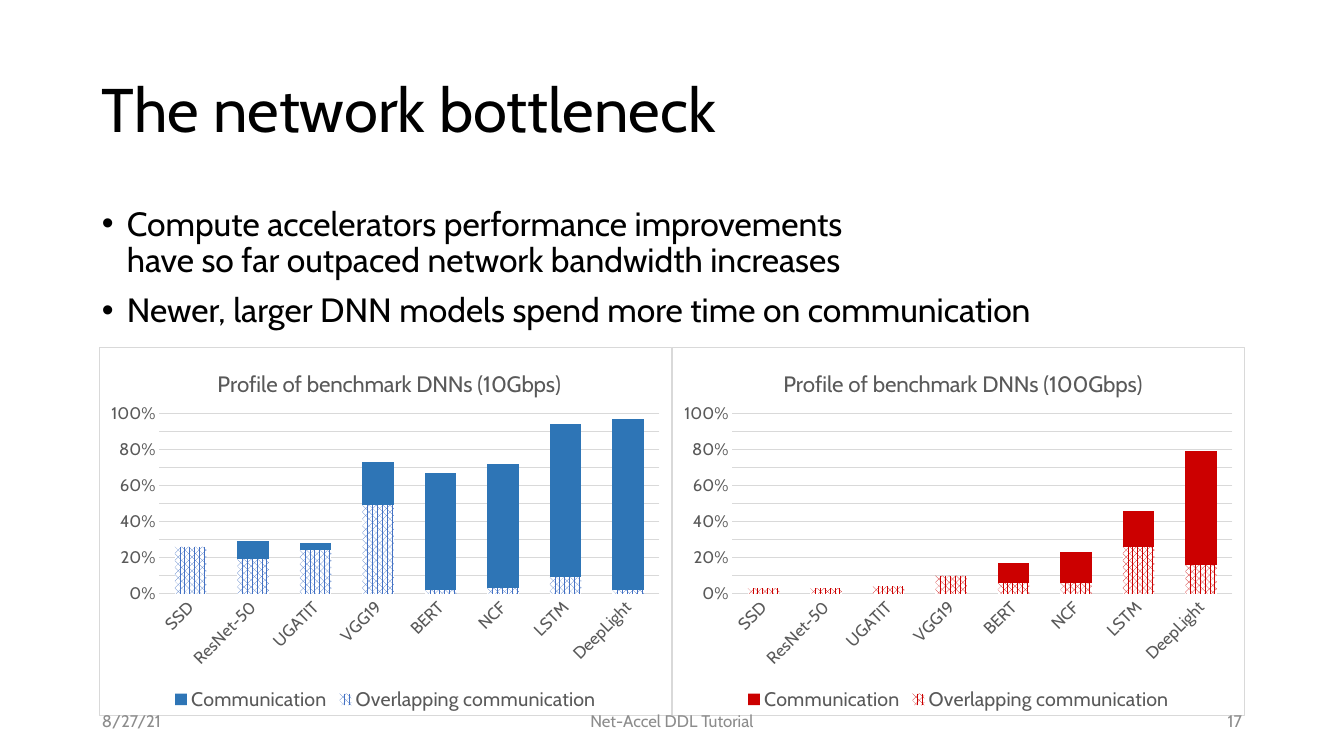
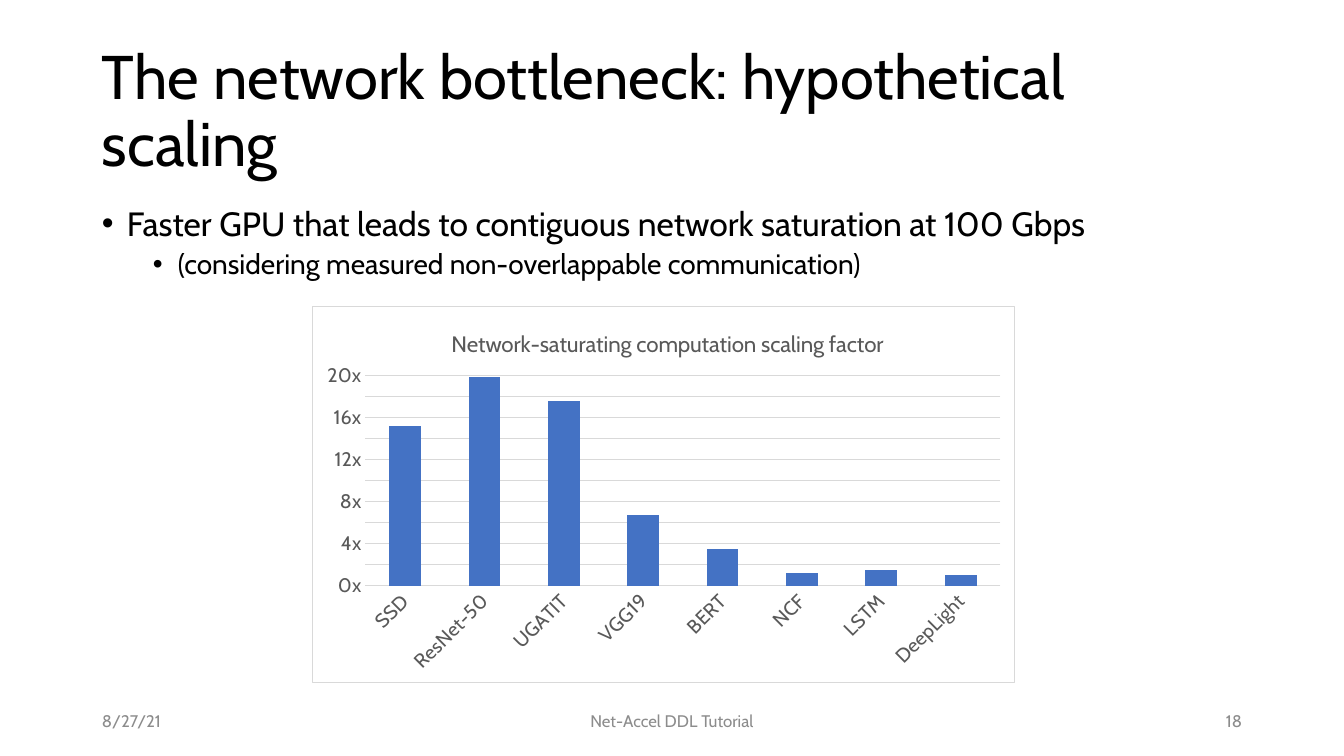
from copy import deepcopy
from dataclasses import dataclass

from lxml import etree
from pptx import Presentation
from pptx import util as u
from pptx.chart.data import CategoryChartData
from pptx.dml.color import RGBColor
from pptx.enum import chart as charts, dml, text
from pptx.oxml import parse_xml
from pptx.oxml.ns import nsdecls, qn


@dataclass(frozen=True)
class Theme:
    font: str = "Cabin"
    ink: str = "000000"
    label: str = "595959"
    footer: str = "8C8C8C"
    rule: str = "D9D9D9"
    paper: str = "FFFFFF"
    blue: str = "2E75B6"
    accent: str = "4472C4"
    red: str = "CC0000"
    title_size: int = 44
    body_sizes: tuple = (24, 20)
    chart_title_size: int = 16
    legend_size: int = 14
    footer_size: int = 12
    rule_width: float = 0.75


THEME = Theme()
PX_PER_INCH = 100.8

# Content: lengths in px, areas as left, top, width, height
SLIDE_SIZE = (1344, 756)
TITLE_AREA = (92, 40, 1160, 146)
BODY_AREA = (92, 202, 1160, 480)
BULLET_HANG = 25
BULLET_MARGINS = (25, 76)
BULLET_GAPS = (10, 5)
DATE, EVENT = "8/27/21", "Net-Accel DDL Tutorial"
FOOTER_AREAS = [
    ((92, 701, 302, 40), text.PP_ALIGN.LEFT),
    ((445, 701, 454, 40), text.PP_ALIGN.CENTER),
    ((950, 701, 302, 40), text.PP_ALIGN.RIGHT),
]

MODELS = ["SSD", "ResNet-50", "UGATIT", "VGG19", "BERT", "NCF", "LSTM", "DeepLight"]
PROFILE = dict(maximum=1, step=0.2, number_format="0%", gap=99, overlap=100,
               label_size=12, legend=True, plot=(60, 66, 501, 181))
SCALING = dict(maximum=20, step=4, number_format='0"x"', gap=150, overlap=0,
               label_size=14, legend=False, plot=(53, 69, 636, 211))

# Series: name, values, colour, patterned
SLIDES = [
    dict(
        number=17,
        title="The network bottleneck",
        bullets=[
            (0, "Compute accelerators performance improvements\v"
                "have so far outpaced network bandwidth increases"),
            (0, "Newer, larger DNN models spend more time on communication"),
        ],
        charts=[
            dict(PROFILE, title="Profile of benchmark DNNs (10Gbps)",
                 area=(99, 347, 573, 369), title_at=(114, 17), series=[
                     ("Communication",
                      [0.26, 0.29, 0.28, 0.73, 0.67, 0.72, 0.94, 0.97], THEME.blue, False),
                     ("Overlapping communication",
                      [0.26, 0.19, 0.24, 0.49, 0.02, 0.03, 0.09, 0.02], THEME.accent, True)]),
            dict(PROFILE, title="Profile of benchmark DNNs (100Gbps)",
                 area=(672, 347, 573, 369), title_at=(107, 17), series=[
                     ("Communication",
                      [0.03, 0.03, 0.04, 0.1, 0.17, 0.23, 0.46, 0.79], THEME.red, False),
                     ("Overlapping communication",
                      [0.03, 0.03, 0.04, 0.1, 0.06, 0.06, 0.26, 0.16], THEME.red, True)]),
        ],
    ),
    dict(
        number=18,
        title="The network bottleneck: hypothetical scaling",
        bullets=[
            (0, "Faster GPU that leads to contiguous network saturation at 100 Gbps"),
            (1, "(considering measured non-overlappable communication)"),
        ],
        charts=[
            dict(SCALING, title="Network-saturating computation scaling factor",
                 area=(312, 306, 703, 377), title_at=(135, 18), series=[
                     ("Series 1", [15.2, 19.8, 17.6, 6.7, 3.5, 1.2, 1.5, 1],
                      THEME.accent, False)]),
        ],
    ),
]


def px(length):
    return u.Emu(round(length * u.Inches(1) / PX_PER_INCH))


def rgb(colour):
    return RGBColor.from_string(colour)


def style_font(font, size, colour):
    font.name, font.size, font.bold = THEME.font, u.Pt(size), False
    font.color.rgb = rgb(colour)


def style_line(line):
    line.color.rgb = rgb(THEME.rule)
    line.width = u.Pt(THEME.rule_width)


# Text
def add_text(page, area, lines, size, colour, anchor=text.MSO_ANCHOR.MIDDLE, align=None):
    frame = page.shapes.add_textbox(*map(px, area)).text_frame
    frame.word_wrap = True
    frame.vertical_anchor = anchor
    frame.text = "\n".join(lines)
    for para in frame.paragraphs:
        para.alignment = align
        for span in para.runs:
            style_font(span.font, size, colour)
    return frame


def add_bullets(page, bullets):
    frame = add_text(page, BODY_AREA, [line for _, line in bullets],
                     THEME.body_sizes[0], THEME.ink, text.MSO_ANCHOR.TOP)
    for para, (level, _) in zip(frame.paragraphs, bullets):
        para.level = level
        para.line_spacing = 0.9
        para.space_before = u.Pt(BULLET_GAPS[level])
        for span in para.runs:
            span.font.size = u.Pt(THEME.body_sizes[level])
        props = para._p.get_or_add_pPr()
        props.set("marL", str(px(BULLET_MARGINS[level])))
        props.set("indent", str(-px(BULLET_HANG)))
        etree.SubElement(props, qn("a:buFont")).set("typeface", "Arial")
        etree.SubElement(props, qn("a:buChar")).set("char", "•")


# Charts
def chart_part(chart, tag):
    return next(chart.element.iter(qn(tag)))


def set_layout(parent, index, fractions, inner=False):
    for old in parent.findall(qn("c:layout")):
        parent.remove(old)
    layout = parse_xml(f'<c:layout {nsdecls("c")}><c:manualLayout/></c:layout>')
    values = [("layoutTarget", "inner")] if inner else []
    values += [("xMode", "edge"), ("yMode", "edge"), *zip("xywh", fractions)]
    for name, value in values:
        etree.SubElement(layout[0], qn(f"c:{name}")).set("val", str(value))
    parent.insert(index, layout)


def style_frame(chart):
    border = parse_xml(
        f'<c:spPr {nsdecls("c", "a")}>'
        f'<a:solidFill><a:srgbClr val="{THEME.paper}"/></a:solidFill>'
        f'<a:ln w="{u.Pt(THEME.rule_width)}"><a:solidFill>'
        f'<a:srgbClr val="{THEME.rule}"/></a:solidFill></a:ln></c:spPr>')
    chart_part(chart, "c:chart").addnext(border)


def style_axes(chart, item):
    values, models = chart.value_axis, chart.category_axis
    for axis in (values, models):
        axis.major_tick_mark = axis.minor_tick_mark = charts.XL_TICK_MARK.NONE
        style_font(axis.tick_labels.font, item["label_size"], THEME.label)
    values.minimum_scale, values.maximum_scale = 0, item["maximum"]
    values.major_unit, values.minor_unit = item["step"], item["step"] / 2
    values.has_major_gridlines = values.has_minor_gridlines = True
    style_line(values.major_gridlines.format.line)
    grid_style = chart_part(chart, "c:majorGridlines").find(qn("c:spPr"))
    chart_part(chart, "c:minorGridlines").append(deepcopy(grid_style))
    values.format.line.fill.background()
    values.tick_labels.number_format = item["number_format"]
    values.tick_labels.number_format_is_linked = False
    style_line(models.format.line)
    label_body = chart_part(chart, "c:catAx").find(qn("c:txPr")).find(qn("a:bodyPr"))
    label_body.set("rot", str(-45 * 60000))


def style_series(plot, item):
    plot.gap_width, plot.overlap = item["gap"], item["overlap"]
    plot.vary_by_categories = False
    for series, (_, _, colour, patterned) in zip(plot.series, item["series"]):
        series.invert_if_negative = False
        fill = series.format.fill
        if patterned:
            fill.patterned()
            fill.pattern = dml.MSO_PATTERN.PERCENT_70
            fill.back_color.rgb = rgb(THEME.paper)
        else:
            fill.solid()
        fill.fore_color.rgb = rgb(colour)


def add_column_chart(page, item):
    data = CategoryChartData()
    data.categories = MODELS
    for name, values, *_ in item["series"]:
        data.add_series(name, values)
    chart = page.shapes.add_chart(charts.XL_CHART_TYPE.COLUMN_CLUSTERED,
                                  *map(px, item["area"]), data).chart
    style_font(chart.font, 10, THEME.ink)
    style_frame(chart)
    style_axes(chart, item)
    style_series(chart.plots[0], item)

    chart.has_title = True
    frame = chart.chart_title.text_frame
    frame.text = item["title"]
    style_font(frame.paragraphs[0].runs[0].font, THEME.chart_title_size, THEME.label)

    chart.has_legend = item["legend"]
    if item["legend"]:
        chart.legend.position = charts.XL_LEGEND_POSITION.BOTTOM
        chart.legend.include_in_layout = False
        style_font(chart.legend.font, THEME.legend_size, THEME.label)

    # Title and plot positions as fractions of the chart area
    sides = item["area"][2:] * 2
    title_at, plot = ([round(length / side, 4) for length, side in zip(item[key], sides)]
                      for key in ("title_at", "plot"))
    set_layout(chart_part(chart, "c:title"), 1, title_at)
    set_layout(chart_part(chart, "c:plotArea"), 0, plot, inner=True)


# Slides
def add_page(deck, slide):
    page = deck.slides.add_slide(deck.slide_layouts[6])
    title = add_text(page, TITLE_AREA, [slide["title"]], THEME.title_size, THEME.ink)
    title.paragraphs[0].line_spacing = 0.9
    add_bullets(page, slide["bullets"])
    for item in slide["charts"]:
        add_column_chart(page, item)
    footers = (DATE, EVENT, str(slide["number"]))
    for line, (area, align) in zip(footers, FOOTER_AREAS):
        add_text(page, area, [line], THEME.footer_size, THEME.footer, align=align)


def main():
    deck = Presentation()
    deck.slide_width, deck.slide_height = map(px, SLIDE_SIZE)
    for slide in SLIDES:
        add_page(deck, slide)
    deck.save("out.pptx")


if __name__ == "__main__":
    main()
